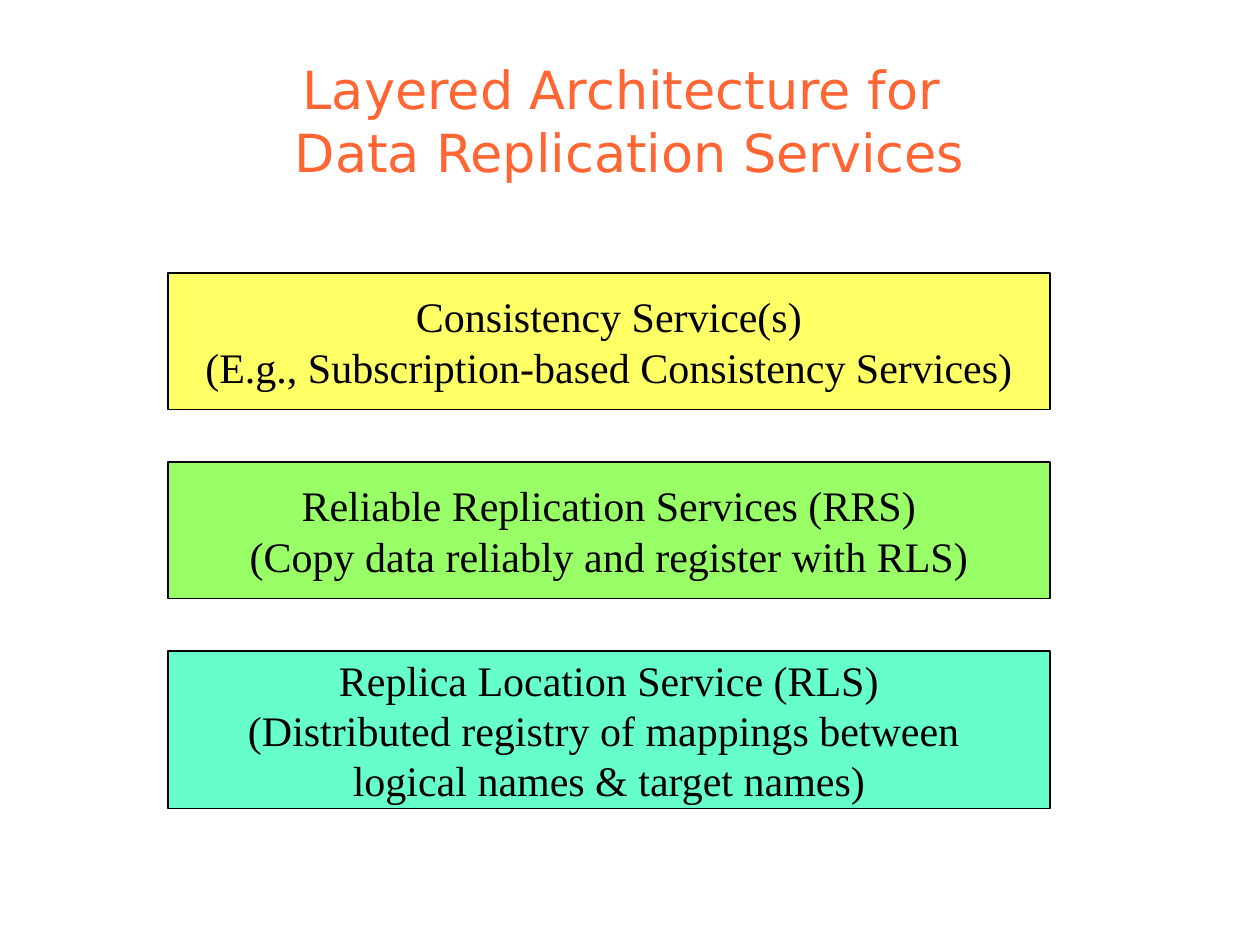
from dataclasses import dataclass

from pptx import Presentation
from pptx.dml.color import RGBColor
from pptx.enum.shapes import MSO_SHAPE
from pptx.enum.text import MSO_ANCHOR, PP_ALIGN
from pptx.util import Pt


@dataclass(frozen=True)
class Layer:
    """One service layer of the architecture."""
    top: float
    height: float
    fill: str
    lines: tuple[str, ...]


LAYERS = (
    Layer(372, 90, "66FFCC", (
        "Replica Location Service (RLS)",
        "(Distributed registry of mappings between ",
        "logical names & target names)",
    )),
    Layer(264, 78, "99FF66", (
        "Reliable Replication Services (RRS)",
        "(Copy data reliably and register with RLS)",
    )),
    Layer(156, 78, "FFFF66", (
        "Consistency Service(s)",
        "(E.g., Subscription-based Consistency Services)",
    )),
)


def color(value: str) -> RGBColor:
    """Turn a hex string into a colour."""
    return RGBColor.from_string(value)


def write(tf, lines: tuple[str, ...], *, font: str, size: float, fill: str,
          anchor: MSO_ANCHOR, wrap: bool) -> None:
    """Write centred paragraphs in one format."""
    tf.word_wrap = wrap
    tf.vertical_anchor = anchor
    for i, line in enumerate(lines):
        p = tf.add_paragraph() if i else tf.paragraphs[0]
        p.text = line
        p.alignment = PP_ALIGN.CENTER
        for r in p.runs:
            r.font.name = font
            r.font.size = Pt(size)
            r.font.color.rgb = color(fill)


def add_title(s, text: str) -> None:
    """Add the slide title, anchored at the bottom of its box."""
    sp = s.shapes.add_textbox(Pt(54), Pt(48), Pt(612), Pt(60))
    write(sp.text_frame, (text,), font="DejaVu Sans", size=30, fill="FF6633",
          anchor=MSO_ANCHOR.BOTTOM, wrap=True)


def add_layer(s, layer: Layer) -> None:
    """Add an outlined box for a layer."""
    sp = s.shapes.add_shape(MSO_SHAPE.RECTANGLE, Pt(96), Pt(layer.top),
                            Pt(504), Pt(layer.height))
    sp.shadow.inherit = False
    sp.fill.solid()
    sp.fill.fore_color.rgb = color(layer.fill)
    sp.line.color.rgb = color("000000")
    sp.line.width = Pt(1)
    write(sp.text_frame, layer.lines, font="Times New Roman", size=24,
          fill="000000", anchor=MSO_ANCHOR.MIDDLE, wrap=False)


def main() -> None:
    """Build and save the slide."""
    prs = Presentation()
    prs.slide_width, prs.slide_height = Pt(720), Pt(540)
    s = prs.slides.add_slide(prs.slide_layouts[6])
    add_title(s, "Layered Architecture for \vData Replication Services")
    for layer in LAYERS:
        add_layer(s, layer)
    prs.save("out.pptx")


if __name__ == "__main__":
    main()
